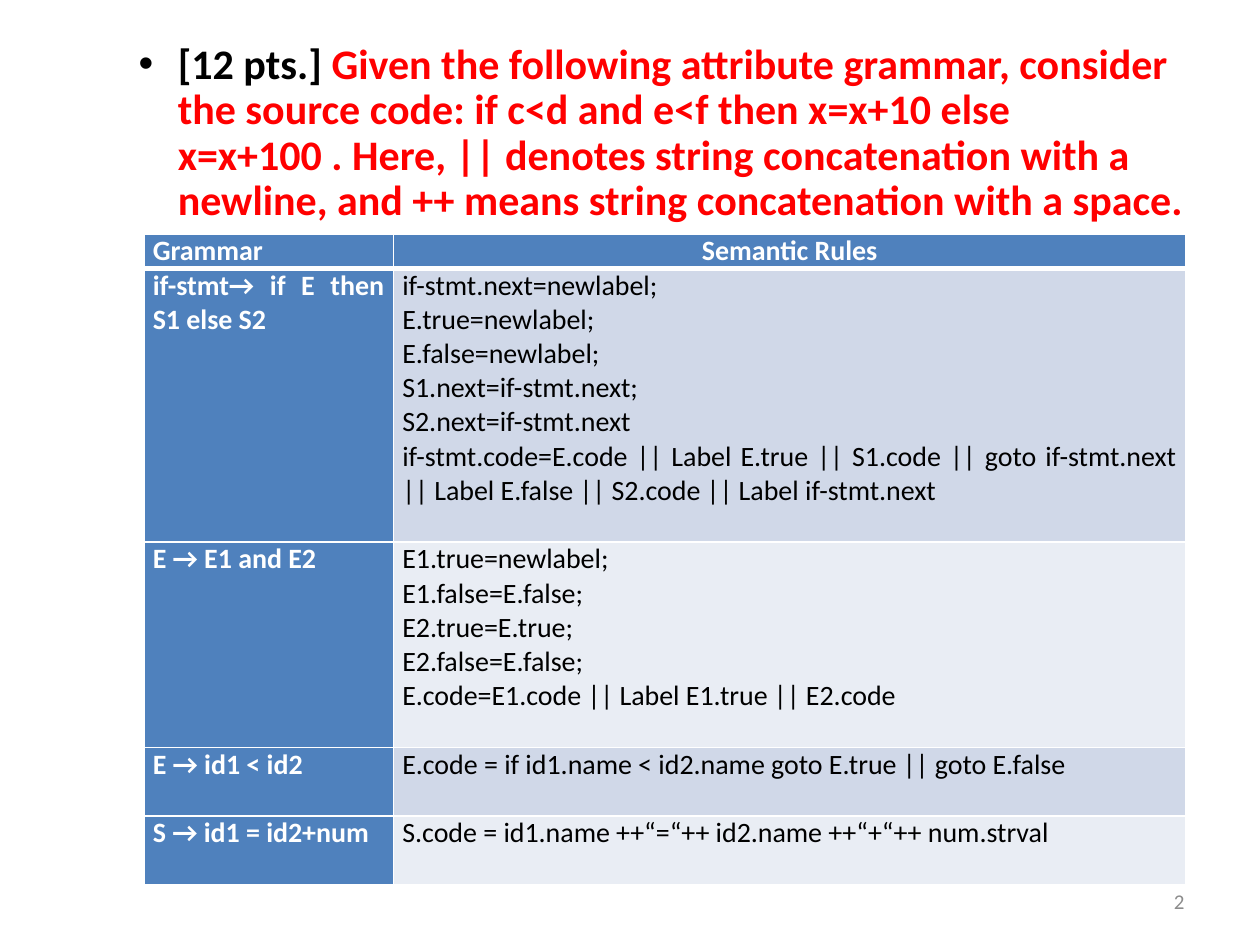
from dataclasses import dataclass

from lxml.etree import SubElement
from pptx import Presentation
from pptx.dml.color import RGBColor
from pptx.enum.text import MSO_ANCHOR, MSO_AUTO_SIZE, PP_ALIGN
from pptx.oxml.ns import qn
from pptx.util import Cm, Pt


@dataclass(frozen=True)
class Theme:
    font: str = "Calibri"
    ink: str = "000000"
    question: str = "FF0000"
    paper: str = "FFFFFF"
    header: str = "4F81BD"
    bands: tuple = ("D0D8E8", "E9EDF4")
    muted: str = "8C8C8C"
    question_size: int = 24
    table_size: int = 16
    number_size: int = 12


THEME = Theme()
POINTS = "[12 pts.] "
QUESTION = (
    "Given the following attribute grammar, consider the source code: "
    "if c<d and e<f then x=x+10 else x=x+100 . Here, || denotes string "
    "concatenation with a newline, and ++ means string concatenation with a space."
)
HEADINGS = ("Grammar", "Semantic Rules")

# Production, semantic rules, height of the row in text lines
PRODUCTIONS = [
    ("if-stmt→ if E then S1 else S2", [
        "if-stmt.next=newlabel;",
        "E.true=newlabel;",
        "E.false=newlabel;",
        "S1.next=if-stmt.next;",
        "S2.next=if-stmt.next",
        "if-stmt.code=E.code || Label E.true || S1.code || goto if-stmt.next "
        "|| Label E.false || S2.code || Label if-stmt.next",
    ], 8),
    ("E → E1 and E2", [
        "E1.true=newlabel;",
        "E1.false=E.false;",
        "E2.true=E.true;",
        "E2.false=E.false;",
        "E.code=E1.code || Label E1.true || E2.code",
    ], 6),
    ("E → id1 < id2",
     ["E.code = if id1.name < id2.name goto E.true || goto E.false"], 2),
    ("S → id1 = id2+num",
     ["S.code = id1.name ++“=“++ id2.name ++“+“++ num.strval"], 2),
]
LINE_HEIGHT = 0.69  # cm, one line of table text


def add_text(paragraph, text, *, size, color=THEME.ink, bold=False, align=None):
    run = paragraph.add_run()
    run.text = text
    run.font.name = THEME.font
    run.font.size = Pt(size)
    run.font.bold = bold
    run.font.color.rgb = RGBColor.from_string(color)
    if align is not None:
        paragraph.alignment = align


def place(shape, left, top, width, height):
    shape.left, shape.top = Cm(left), Cm(top)
    shape.width, shape.height = Cm(width), Cm(height)


def add_question(slide, box):
    body = slide.placeholders[1]
    place(body, *box)
    frame = body.text_frame
    frame.auto_size = MSO_AUTO_SIZE.NONE
    paragraph = frame.paragraphs[0]
    paragraph.level = 1
    paragraph.line_spacing = 0.9
    paragraph.space_before = Pt(0)
    properties = paragraph._p.get_or_add_pPr()
    properties.set("marL", str(Cm(2.06)))
    properties.set("indent", str(Cm(-0.79)))
    SubElement(properties, qn("a:buFont"), typeface="Arial")
    SubElement(properties, qn("a:buChar"), char="•")
    add_text(paragraph, POINTS, size=THEME.question_size, bold=True)
    add_text(paragraph, QUESTION, size=THEME.question_size,
             color=THEME.question, bold=True)


def add_borders(cell, top=1, bottom=1):
    properties = cell._tc.get_or_add_tcPr()
    for side, width in (("lnL", 1), ("lnR", 1), ("lnT", top), ("lnB", bottom)):
        line = SubElement(properties, qn(f"a:{side}"), w=str(Pt(width)))
        fill = SubElement(line, qn("a:solidFill"))
        SubElement(fill, qn("a:srgbClr"), val=THEME.paper)


def fill_cell(cell, lines, fill, **text_format):
    cell.margin_left = cell.margin_right = Cm(0.18)
    cell.margin_top = cell.margin_bottom = 0
    cell.fill.solid()
    cell.fill.fore_color.rgb = RGBColor.from_string(fill)
    frame = cell.text_frame
    for index, line in enumerate(lines):
        paragraph = frame.add_paragraph() if index else frame.paragraphs[0]
        add_text(paragraph, line, size=THEME.table_size, **text_format)


def add_grammar_table(slide, left, top, column_widths):
    heights = [LINE_HEIGHT * n for n in (1, *(row[2] for row in PRODUCTIONS))]
    table = slide.shapes.add_table(
        len(heights), len(column_widths), Cm(left), Cm(top),
        Cm(sum(column_widths)), Cm(sum(heights))).table
    for column, width in zip(table.columns, column_widths):
        column.width = Cm(width)
    for row, height in zip(table.rows, heights):
        row.height = Cm(height)

    # A thick rule separates the headings from the productions
    for index, row in enumerate(table.rows):
        for cell in row.cells:
            add_borders(cell, top=3 if index == 1 else 1,
                        bottom=3 if index == 0 else 1)

    label = {"fill": THEME.header, "color": THEME.paper, "bold": True}
    alignments = (PP_ALIGN.JUSTIFY, PP_ALIGN.CENTER)
    for column, (heading, align) in enumerate(zip(HEADINGS, alignments)):
        fill_cell(table.cell(0, column), [heading], align=align, **label)
    for index, (production, rules, _) in enumerate(PRODUCTIONS):
        fill_cell(table.cell(index + 1, 0), [production],
                  align=PP_ALIGN.JUSTIFY, **label)
        fill_cell(table.cell(index + 1, 1), rules, THEME.bands[index % 2],
                  align=PP_ALIGN.JUSTIFY)


def add_page_number(slide, box, number):
    frame = slide.shapes.add_textbox(*map(Cm, box)).text_frame
    frame.word_wrap = True
    frame.vertical_anchor = MSO_ANCHOR.MIDDLE
    add_text(frame.paragraphs[0], number, size=THEME.number_size,
             color=THEME.muted, align=PP_ALIGN.RIGHT)


def main():
    presentation = Presentation()
    presentation.slide_width, presentation.slide_height = Cm(25.4), Cm(19.05)
    slide = presentation.slides.add_slide(presentation.slide_layouts[1])
    title = slide.shapes.title._element
    title.getparent().remove(title)

    add_question(slide, (1.27, 0.74, 22.86, 16.28))
    add_page_number(slide, (18.2, 17.66, 5.93, 1.01), "2")
    add_grammar_table(slide, 2.9, 4.72, (5.03, 15.98))
    presentation.save("out.pptx")


if __name__ == "__main__":
    main()
